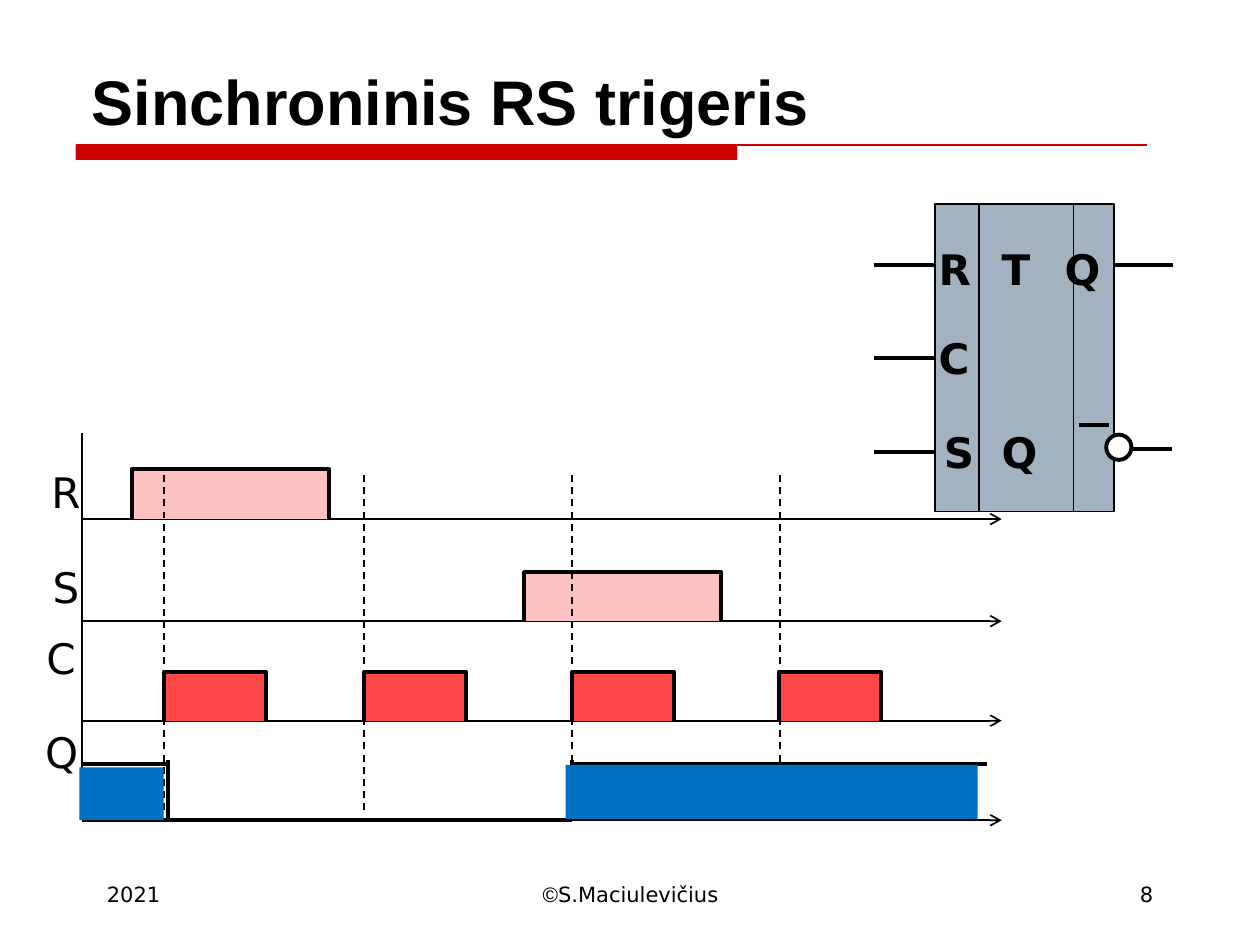
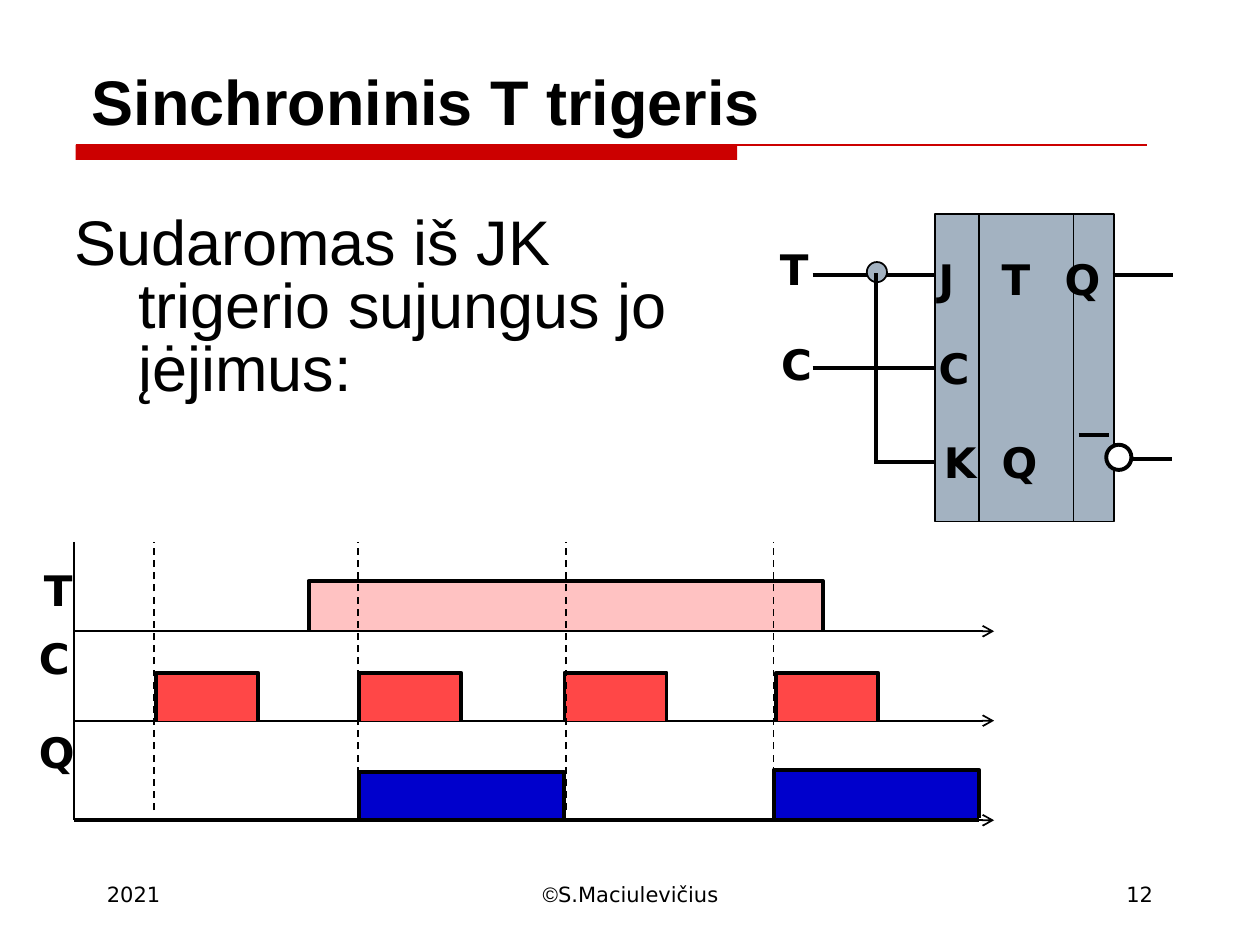
"""Build two slides on synchronous RS and T flip-flops with timing diagrams."""
from lxml.etree import SubElement
from pptx import Presentation
from pptx.dml.color import RGBColor
from pptx.enum.dml import MSO_LINE_DASH_STYLE as Dash
from pptx.enum.shapes import MSO_CONNECTOR as Connector, MSO_SHAPE as Shape
from pptx.enum.text import MSO_ANCHOR as Anchor, PP_ALIGN as Align
from pptx.oxml.ns import qn
from pptx.util import Inches, Pt

BLACK = RGBColor(0x00, 0x00, 0x00)
WHITE = RGBColor(0xFF, 0xFF, 0xFF)
RED = RGBColor(0xCC, 0x00, 0x00)
STEEL = RGBColor(0xA3, 0xB2, 0xC1)
PINK = RGBColor(0xFF, 0xC2, 0xC2)
CORAL = RGBColor(0xFF, 0x47, 0x47)
AZURE = RGBColor(0x00, 0x70, 0xC0)
NAVY = RGBColor(0x00, 0x00, 0xCC)
SANS, LABEL = "Arial", "DejaVu Sans"
THIN, THICK = 1, 2.25

deck = Presentation()
deck.slide_width, deck.slide_height = Inches(10), Inches(7.5)
COL, ROW = deck.slide_width // 100, deck.slide_height // 75


def write(para, words, **style):
    span = para.add_run()
    span.text = words
    span.font.color.rgb = BLACK
    for name, value in style.items():
        setattr(span.font, name, value)


def draw_line(page, x1, y1, x2, y2, weight=THICK, color=BLACK, dash=None, arrow=False):
    wire = page.shapes.add_connector(
        Connector.STRAIGHT, round(x1 * COL), round(y1 * ROW), round(x2 * COL), round(y2 * ROW))
    wire.line.width, wire.line.color.rgb = Pt(weight), color
    if dash:
        wire.line.dash_style = dash
    if arrow:
        SubElement(wire.line._get_or_add_ln(), qn("a:tailEnd"), type="arrow")
    SubElement(wire._element.spPr, qn("a:effectLst"))
    return wire


slides = [
    {
        "title": "Sinchroninis RS trigeris", "number": "8", "body": None,
        "chip top": 16.2, "inputs from": (69.4, 69.4, 69.4),
        "pins": [("R\tT\tQ", (5.7, 11.2)), ("C", ()), ("S\tQ", (11.1,))],
        "dots": [], "joints": [],
        "origin": (6.5, 34.4), "axes": (65.1, 57.2, 49.3, 41.2), "bold": False,
        "labels": [("R", 3.1, 36.5, 4.1), ("S", 3.2, 44.1, 3.8),
                   ("C", 2.7, 49.7, 4.1), ("Q", 2.6, 57.2, 4.6)],
        "pulses": [(10.5, 37.2, 15.6, 4, PINK), (41.6, 45.4, 15.6, 3.9, PINK)]
                  + [(x, 53.3, 8.1, 3.9, CORAL) for x in (13, 28.9, 45.4, 61.8)],
        "edges": (13, 28.9, 45.4, 61.9), "edge top": 37.3,
        "steps": [(6.5, 65.1, 45.4, 65.1), (45.4, 60.6, 78.3, 60.6), (45.4, 60.3, 45.4, 65.1),
                  (6.5, 60.6, 13.5, 60.6), (13.3, 60.3, 13.3, 65.1)],
        "blocks": [(44.9, 60.7, 32.7, 4.3), (6.3, 60.9, 6.7, 4.2)],
    },
    {
        "title": "Sinchroninis T trigeris", "number": "12",
        "body": "Sudaromas iš JK trigerio sujungus jo įėjimus:",
        "chip top": 17, "inputs from": (64.5, 64.5, 69.4),
        "pins": [("J\tT\tQ", (4.4, 9.7)), ("C", ()), ("K\tQ", (11.2,))],
        "dots": [(68.8, 20.8, 1.6)], "joints": [(69.5, 21.7, 69.5, 36.7)],
        "origin": (5.9, 43), "axes": (65.1, 57.2, 50.1), "bold": True,
        "labels": [("T", 60.9, 18.8, 3.9), ("C", 61, 26.4, 4.1), ("T", 2.5, 44.3, 3.9),
                   ("C", 2.1, 49.7, 4.1), ("Q", 2.1, 57.2, 4.6)],
        "pulses": [(24.5, 46.1, 40.8, 3.9, PINK)]
                  + [(x, 53.4, 8.1, 3.8, CORAL) for x in (12.4, 28.5, 44.8, 61.6)]
                  + [(28.5, 61.3, 16.3, 3.8, NAVY), (61.4, 61.1, 16.3, 3.8, NAVY)],
        "edges": (12.2, 28.4, 44.9, 61.4), "edge top": 43,
        "steps": [(5.9, 65.1, 77.7, 65.1)],
        "blocks": [],
    },
]

for slide in slides:
    page = deck.slides.add_slide(deck.slide_layouts[5])

    band = page.shapes.add_shape(Shape.RECTANGLE, 6 * COL, round(11.5 * ROW),
                                 round(52.5 * COL), round(1.2 * ROW))
    band.shadow.inherit = False
    band.fill.solid()
    band.fill.fore_color.rgb = RED
    band.line.fill.background()
    draw_line(page, 6, 11.5, 91, 11.5, 0.75, RED)

    title = page.shapes.title
    title.left, title.top = round(6.3 * COL), round(3.3 * ROW)
    title.width, title.height = round(87.5 * COL), round(8.2 * ROW)
    title.text_frame.vertical_anchor = Anchor.BOTTOM
    para = title.text_frame.paragraphs[0]
    para.alignment = Align.LEFT
    write(para, slide["title"], size=Pt(36), name=SANS, bold=True)

    if slide["body"]:
        box = page.shapes.add_textbox(round(4.9 * COL), round(16.6 * ROW),
                                      round(55.8 * COL), round(16.5 * ROW))
        box.text_frame.word_wrap = True
        para = box.text_frame.paragraphs[0]
        para.line_spacing = 0.83
        indent = round(5.1 * COL)
        para._p.get_or_add_pPr().set("marL", str(indent))
        para._p.get_or_add_pPr().set("indent", str(-indent))
        write(para, slide["body"], size=Pt(36), name=SANS)

    top = slide["chip top"]
    chip = page.shapes.add_shape(Shape.RECTANGLE, round(74.2 * COL), round(top * ROW),
                                 round(14.2 * COL), round(24.4 * ROW))
    chip.shadow.inherit = False
    chip.fill.solid()
    chip.fill.fore_color.rgb = STEEL
    chip.line.color.rgb, chip.line.width = BLACK, Pt(THIN)
    frame = chip.text_frame
    frame.vertical_anchor, frame.word_wrap = Anchor.TOP, True
    frame.margin_left, frame.margin_right = round(0.3 * COL), 0
    frame.margin_top = round(3.1 * ROW)
    for row, (words, stops) in enumerate(slide["pins"]):
        para = frame.add_paragraph() if row else frame.paragraphs[0]
        para.alignment = Align.LEFT
        if row:
            para.space_before = Pt((22, 25)[row - 1])
        props = para._p.get_or_add_pPr()
        props.set("indent", str(round((0, 0, 0.4)[row] * COL)))
        if stops:
            tabs = SubElement(props, qn("a:tabLst"))
            for stop in stops:
                SubElement(tabs, qn("a:tab"), pos=str(round(stop * COL)), algn="l")
        write(para, words, size=Pt(24), name=LABEL, bold=True)

    draw_line(page, 85.6, top + 17.5, 88, top + 17.5)
    draw_line(page, 88.3, top + 4.8, 93.1, top + 4.8)
    draw_line(page, 89.9, top + 19.4, 93, top + 19.4)
    for x in (77.7, 85.2):
        draw_line(page, x, top, x, top + 24.4, THIN)
    for row, (start, drop) in enumerate(zip(slide["inputs from"], (4.8, 12.2, 19.7))):
        wire = draw_line(page, start, top + drop, 74.2, top + drop)
        if row == 1:
            wire.end_connect(chip, 1)

    circles = [(87.8, top + 18.3, 2, WHITE, THICK)]
    circles += [(*dot, STEEL, THIN) for dot in slide["dots"]]
    for x, y, size, color, weight in circles:
        circle = page.shapes.add_shape(Shape.OVAL, round(x * COL), round(y * ROW),
                                       round(size * COL), round(size * ROW))
        circle.shadow.inherit = False
        circle.fill.solid()
        circle.fill.fore_color.rgb = color
        circle.line.color.rgb, circle.line.width = BLACK, Pt(weight)
    for joint in slide["joints"]:
        draw_line(page, *joint)

    left, axis_top = slide["origin"]
    draw_line(page, left, axis_top, left, 65.1, THIN)
    for y in slide["axes"]:
        draw_line(page, left, y, left + 73, y, THIN, arrow=True)

    for x, y, width, height, color in slide["pulses"]:
        corners = [(x, y), (x + width, y), (x + width, y + height)]
        outline = page.shapes.build_freeform(round(x * COL), round((y + height) * ROW))
        outline.add_line_segments([(round(a * COL), round(b * ROW)) for a, b in corners],
                                  close=False)
        pulse = outline.convert_to_shape()
        pulse.shadow.inherit = False
        pulse.fill.solid()
        pulse.fill.fore_color.rgb = color
        pulse.line.color.rgb, pulse.line.width = BLACK, Pt(THICK)

    for x in slide["edges"]:
        draw_line(page, x, 64.3, x, slide["edge top"], THIN, dash=Dash.DASH)
    for step in slide["steps"]:
        draw_line(page, *step)
    for x, y, width, height in slide["blocks"]:
        block = page.shapes.add_shape(Shape.RECTANGLE, round(x * COL), round(y * ROW),
                                      round(width * COL), round(height * ROW))
        block.shadow.inherit = False
        block.fill.solid()
        block.fill.fore_color.rgb = AZURE
        block.line.fill.background()

    signal = {"size": Pt(24), "name": LABEL, "bold": slide["bold"]}
    small = {"size": Pt(12), "name": LABEL}
    texts = [(x, y, width, Align.LEFT, False, [(words, signal)])
             for words, x, y, width in slide["labels"]]
    texts += [
        (7.5, 69.5, 20.8, Align.LEFT, True, [("2021", small)]),
        (34.2, 69.5, 31.7, Align.CENTER, True,
         [("©", {"size": Pt(12), "name": SANS}), ("S.Maciulevičius", small)]),
        (71.7, 69.5, 20.8, Align.RIGHT, True, [(slide["number"], small)]),
    ]
    for x, y, width, align, wrap, spans in texts:
        box = page.shapes.add_textbox(round(x * COL), round(y * ROW), round(width * COL), 5 * ROW)
        box.text_frame.word_wrap = wrap
        para = box.text_frame.paragraphs[0]
        para.alignment = align
        for words, style in spans:
            write(para, words, **style)

deck.save("out.pptx")
